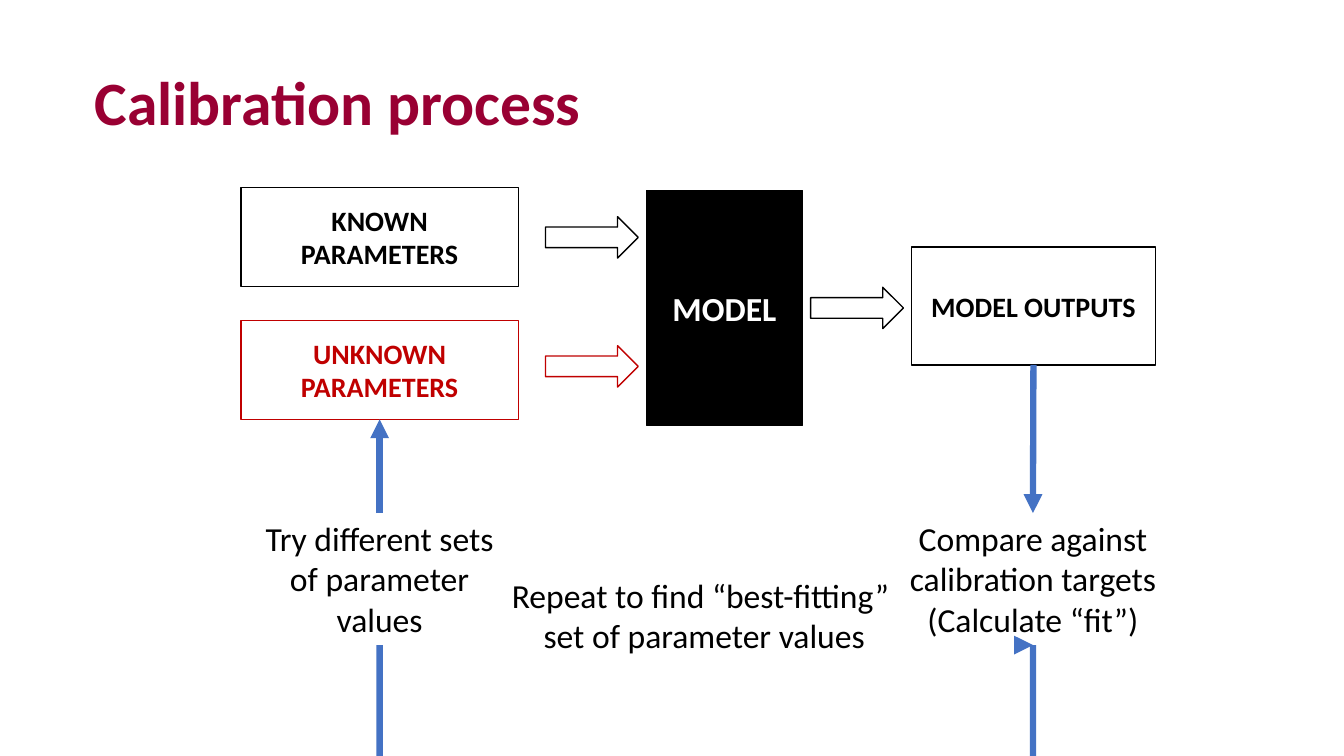
from lxml import etree
from pptx import Presentation
from pptx.dml.color import RGBColor
from pptx.enum.shapes import MSO_CONNECTOR, MSO_SHAPE
from pptx.enum.text import MSO_ANCHOR, MSO_AUTO_SIZE, PP_ALIGN
from pptx.oxml.ns import qn
from pptx.util import Inches, Pt

RECT, ARROW = MSO_SHAPE.RECTANGLE, MSO_SHAPE.RIGHT_ARROW
STRAIGHT, CURVE = MSO_CONNECTOR.STRAIGHT, MSO_CONNECTOR.CURVE
CENTER, MIDDLE, TOP = PP_ALIGN.CENTER, MSO_ANCHOR.MIDDLE, MSO_ANCHOR.TOP
GROW = MSO_AUTO_SIZE.SHAPE_TO_FIT_TEXT
SITE_TOP, SITE_BOTTOM = 0, 2
COLORS = {"title": "990033", "black": "000000", "white": "FFFFFF",
          "red": "C00000", "blue": "4472C4"}


class Diagram:
    font = "Calibri"

    def __init__(self, prs):
        self.slide = prs.slides.add_slide(prs.slide_layouts[5])

    def color(self, name):
        return RGBColor.from_string(COLORS[name])

    def run(self, p, text, size, color, bold=False):
        r = p.add_run()
        r.text = text
        r.font.name, r.font.size, r.font.bold = self.font, Pt(size), bold
        r.font.color.rgb = self.color(color)

    def title(self, text, left, top, width, height):
        sp = self.slide.shapes.title
        sp.left, sp.top = Inches(left), Inches(top)
        sp.width, sp.height = Inches(width), Inches(height)
        tf = sp.text_frame
        tf.word_wrap, tf.vertical_anchor = True, MIDDLE
        p = tf.paragraphs[0]
        p.alignment, p.line_spacing = PP_ALIGN.LEFT, 0.9
        self.run(p, text, 44, "title", True)

    def shape(self, kind, left, top, width, height, line, fill="white"):
        sp = self.slide.shapes.add_shape(
            kind, Inches(left), Inches(top), Inches(width), Inches(height))
        sp.shadow.inherit = False
        sp.fill.solid()
        sp.fill.fore_color.rgb = self.color(fill)
        sp.line.color.rgb = self.color(line)
        sp.line.width = Pt(1)
        return sp

    def box(self, text, left, top, width, height, line="black",
            fill="white", color="black", size=20):
        sp = self.shape(RECT, left, top, width, height, line, fill)
        tf = sp.text_frame
        tf.word_wrap, tf.vertical_anchor = True, MIDDLE
        p = tf.paragraphs[0]
        p.alignment = CENTER
        self.run(p, text, size, color, True)
        return sp

    def label(self, lines, left, top, width, height):
        sp = self.slide.shapes.add_textbox(
            Inches(left), Inches(top), Inches(width), Inches(height))
        tf = sp.text_frame
        tf.word_wrap, tf.auto_size, tf.vertical_anchor = True, GROW, TOP
        for i, line in enumerate(lines):
            p = tf.add_paragraph() if i else tf.paragraphs[0]
            p.alignment = CENTER
            self.run(p, line, 24, "black")
        return sp

    def connector(self, kind, start, start_site, end, end_site):
        c = self.slide.shapes.add_connector(kind, 0, 0, 0, 0)
        c.begin_connect(start, start_site)
        c.end_connect(end, end_site)
        c.line.color.rgb = self.color("blue")
        c.line.width = Pt(4.5)
        etree.SubElement(c.line._get_or_add_ln(), qn("a:tailEnd"), type="triangle")
        etree.SubElement(c._element.spPr, qn("a:effectLst"))
        return c

    def return_curve(self, start, end):
        c = self.connector(CURVE, start, SITE_BOTTOM, end, SITE_BOTTOM)
        span, bottom = c.begin_x - c.end_x, c.begin_y
        middle = (c.begin_x + c.end_x) // 2
        c.left, c.top, c.width, c.height = middle, bottom - span // 2, 1, span
        xfrm = c._element.spPr.find(qn("a:xfrm"))
        xfrm.attrib.pop("flipH", None)
        xfrm.set("rot", "5400000")
        guides = c._element.spPr.find(qn("a:prstGeom")).find(qn("a:avLst"))
        etree.SubElement(guides, qn("a:gd"), name="adj1", fmla="val 22860100000")


def main():
    prs = Presentation()
    prs.slide_width, prs.slide_height = Inches(13.33), Inches(7.5)
    s = Diagram(prs)
    s.title("Calibration process", 0.84, 0.42, 11.8, 1.25)
    s.box("MODEL", 6.41, 1.89, 1.55, 2.33, fill="black", color="white", size=24)
    for left, top, line in ((5.41, 2.15, "black"), (5.41, 3.43, "red"),
                            (8.04, 2.85, "black")):
        s.shape(ARROW, left, top, 0.92, 0.41, line)
    outputs = s.box("MODEL OUTPUTS", 9.04, 2.45, 2.42, 1.17)
    s.box("KNOWN PARAMETERS", 2.39, 1.86, 2.75, 0.98)
    unknown = s.box("UNKNOWN PARAMETERS", 2.39, 3.18, 2.75, 0.98, "red", color="red")
    compare = s.label(["Compare against calibration targets", "(Calculate “fit”)"],
                      8.91, 5.09, 2.67, 1.31)
    retry = s.label(["Try different sets of parameter values"], 2.43, 5.09, 2.67, 1.31)
    s.connector(STRAIGHT, outputs, SITE_BOTTOM, compare, SITE_TOP)
    s.connector(STRAIGHT, retry, SITE_TOP, unknown, SITE_BOTTOM)
    s.return_curve(compare, retry)
    s.label(["Repeat to find “best-fitting” ", "set of parameter values"],
            4.97, 5.65, 4.03, 0.91)
    prs.save("out.pptx")


if __name__ == "__main__":
    main()
